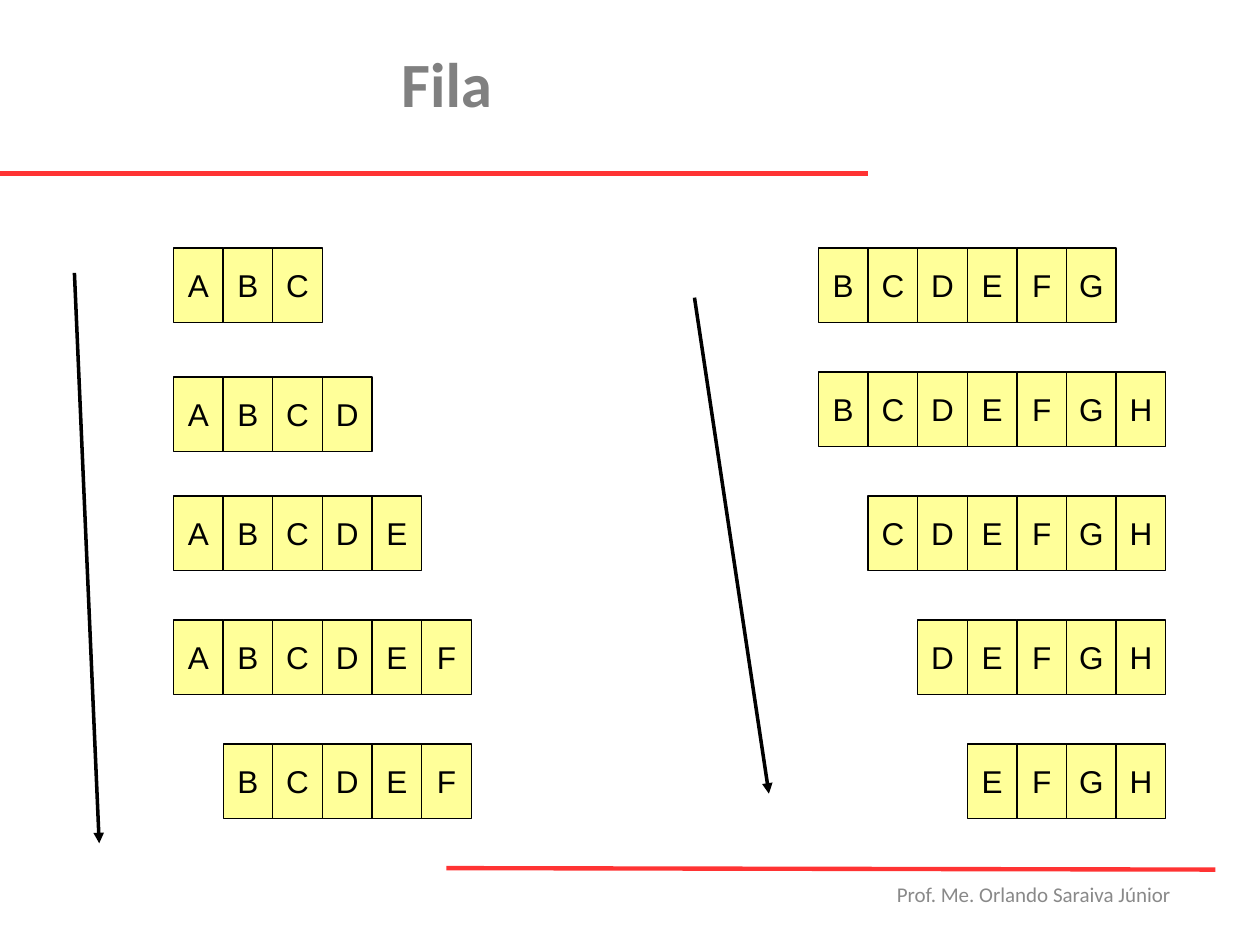
from typing import NamedTuple

from lxml.etree import SubElement
from pptx import Presentation
from pptx.dml.color import RGBColor
from pptx.enum.shapes import MSO_CONNECTOR, MSO_SHAPE
from pptx.enum.text import MSO_ANCHOR, MSO_AUTO_SIZE, PP_ALIGN
from pptx.oxml.ns import qn
from pptx.util import Cm, Inches, Pt

HEX = {"red": "FF3333", "cell": "FFFF99", "ink": "000000",
       "title": "808080", "foot": "898989"}

# The grid unit is one centimetre.
TOP, STEP = 5, 2.5
WIDE, TALL = 1, 1.5


class Queue(NamedTuple):
    text: str
    row: int
    shift: float = 0


class Side(NamedTuple):
    left: float
    first: str
    queues: list[Queue]


class Line(NamedTuple):
    x1: float
    y1: float
    x2: float
    y2: float
    color: str = "ink"
    width: float = 0
    arrow: bool = True


SIDES = [
    Side(3.5, "A", [Queue("ABC", 0), Queue("ABCD", 1, 0.1), Queue("ABCDE", 2),
                    Queue("ABCDEF", 3), Queue("BCDEF", 4)]),
    Side(16.5, "B", [Queue("BCDEFG", 0), Queue("BCDEFGH", 1),
                     Queue("CDEFGH", 2), Queue("DEFGH", 3), Queue("EFGH", 4)]),
]
RULES = [Line(-0.1, 3.5, 17.5, 3.5, "red", 2.5, False),
         Line(9, 17.5, 24.5, 17.53, "red", 2.5, False)]
ARROWS = [Line(1.5, 5.5, 2, 17), Line(14, 6, 15.5, 16)]


def rgb(name: str) -> RGBColor:
    return RGBColor.from_string(HEX[name])


def write(shape, text: str, *, size: float, color: str, font: str = "Calibri",
          bold: bool = False, align=PP_ALIGN.LEFT, anchor=MSO_ANCHOR.TOP,
          wrap: bool = False) -> None:
    frame = shape.text_frame
    frame.word_wrap = wrap
    frame.vertical_anchor = anchor
    para = frame.paragraphs[0]
    para.alignment = align
    run = para.add_run()
    run.text = text
    run.font.name, run.font.size, run.font.bold = font, Pt(size), bold
    run.font.color.rgb = rgb(color)


def draw_line(slide, line: Line) -> None:
    link = slide.shapes.add_connector(
        MSO_CONNECTOR.STRAIGHT, Cm(line.x1), Cm(line.y1),
        Cm(line.x2), Cm(line.y2))
    link.line.color.rgb = rgb(line.color)
    link.line.width = Pt(line.width)
    if line.arrow:
        SubElement(link.line._get_or_add_ln(), qn("a:tailEnd"),
                   type="triangle")
    SubElement(link._element.spPr, qn("a:effectLst"))


def draw_cell(slide, x: float, y: float, text: str) -> None:
    cell = slide.shapes.add_shape(MSO_SHAPE.RECTANGLE, Cm(x), Cm(y),
                                  Cm(WIDE), Cm(TALL))
    cell.shadow.inherit = False
    cell.fill.solid()
    cell.fill.fore_color.rgb = rgb("cell")
    cell.line.color.rgb = rgb("ink")
    cell.line.width = Pt(0)
    write(cell, text, size=18, color="ink", font="Arial",
          align=PP_ALIGN.CENTER, anchor=MSO_ANCHOR.MIDDLE)


def draw_side(slide, side: Side) -> None:
    """Place each letter in its own column, one queue to a row."""
    for queue in side.queues:
        y = TOP + queue.row * STEP + queue.shift
        for char in queue.text:
            col = ord(char) - ord(side.first)
            draw_cell(slide, side.left + col * WIDE, y, char)


def main() -> None:
    deck = Presentation()
    deck.slide_width, deck.slide_height = Inches(10), Inches(7.5)
    slide = deck.slides.add_slide(deck.slide_layouts[6])

    for rule in RULES:
        draw_line(slide, rule)
    foot = slide.shapes.add_textbox(Inches(7.02), Inches(6.95),
                                    Inches(2.37), Inches(0.5))
    write(foot, "Prof. Me. Orlando Saraiva Júnior", size=12, color="foot")
    foot.text_frame.auto_size = MSO_AUTO_SIZE.SHAPE_TO_FIT_TEXT
    title = slide.shapes.add_textbox(0, Inches(0.3), Inches(7.09),
                                     Inches(1.25))
    write(title, "Fila", size=36, color="title", bold=True,
          align=PP_ALIGN.CENTER, wrap=True)

    for side in SIDES:
        draw_side(slide, side)
    for arrow in ARROWS:
        draw_line(slide, arrow)
    deck.save("out.pptx")


if __name__ == "__main__":
    main()
